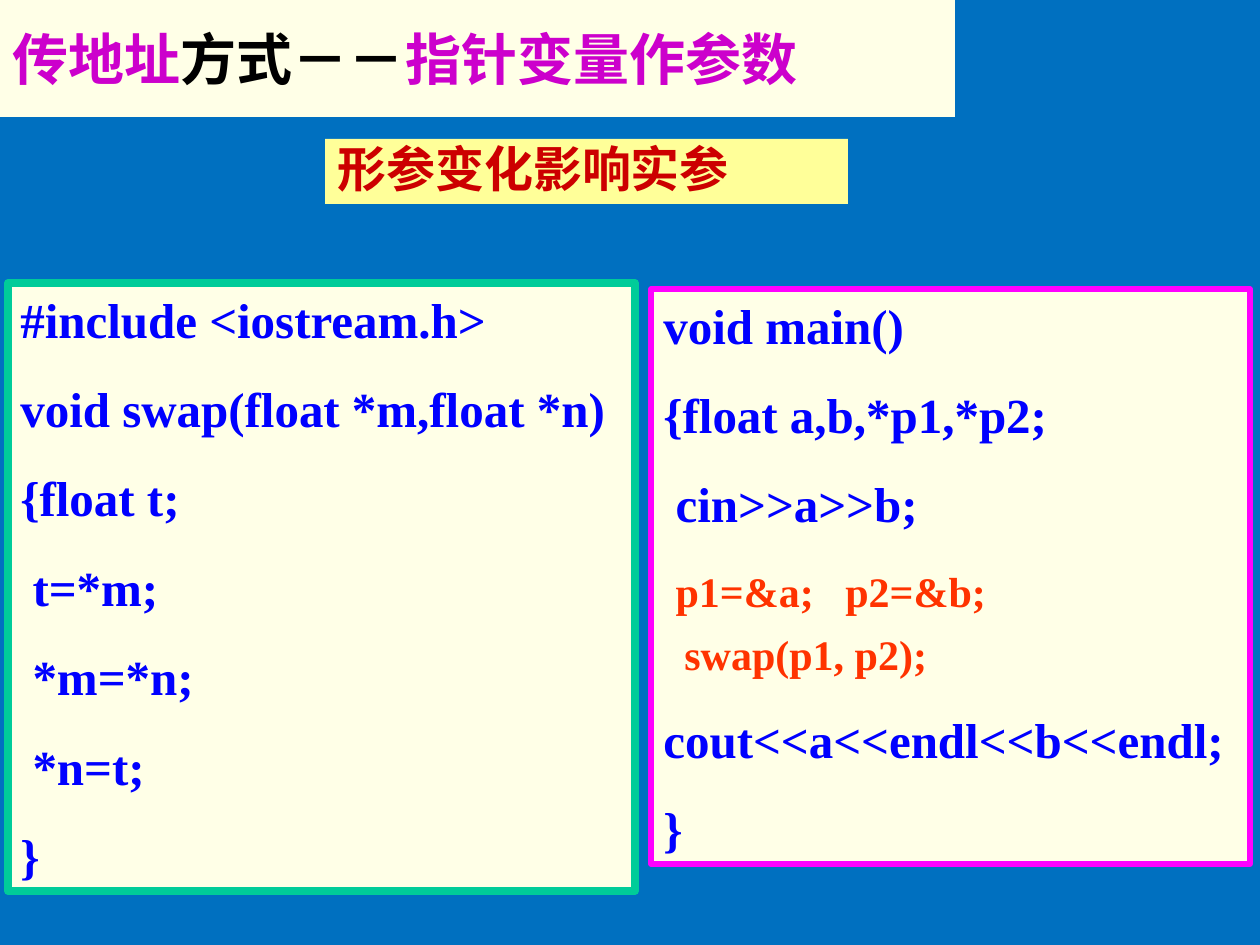
"""Build the slide on passing addresses: pointer variables as parameters."""
from lxml.etree import SubElement
from pptx import Presentation
from pptx.dml.color import RGBColor as RGB
from pptx.enum.shapes import MSO_SHAPE as SHAPE
from pptx.enum.text import MSO_ANCHOR as ANCHOR, MSO_AUTO_SIZE as FIT, PP_ALIGN as ALIGN
from pptx.oxml.ns import qn
from pptx.util import Emu, Pt

PX = 914400 / 126
CJK, SERIF = "Noto Sans CJK SC", "Times New Roman"
C = {
    "back": "0070C0", "cream": "FFFFE7", "yellow": "FFFF99",
    "purple": "CC00CC", "black": "000000", "red": "CC0000",
    "code": "0000FF", "call": "FF3300", "green": "00CC99", "pink": "FF00FF",
}


def add_run(p, text, size=28, color="code", font=SERIF):
    r = p.add_run()
    r.text = text
    r.font.size, r.font.bold, r.font.name = Pt(size), True, font
    r.font.color.rgb = RGB.from_string(C[color])
    SubElement(r.font._element, qn("a:ea")).set("typeface", font)


def set_box(sp, box, fill, line=None, width=0, anchor=ANCHOR.TOP):
    sp.left, sp.top, sp.width, sp.height = [Emu(round(v * PX)) for v in box]
    sp.fill.solid()
    sp.fill.fore_color.rgb = RGB.from_string(C[fill])
    if line:
        sp.line.color.rgb = RGB.from_string(C[line])
        sp.line.width = Pt(width)
    else:
        sp.line.fill.background()
    tf = sp.text_frame
    tf.word_wrap, tf.auto_size, tf.vertical_anchor = True, FIT.NONE, anchor
    tf.paragraphs[0].alignment = ALIGN.LEFT
    return tf


prs = Presentation()
prs.slide_width, prs.slide_height = Emu(round(1260 * PX)), Emu(round(945 * PX))
s = prs.slides.add_slide(prs.slide_layouts[5])
s.background.fill.solid()
s.background.fill.fore_color.rgb = RGB.from_string(C["back"])

tf = set_box(s.shapes.title, (0, 0, 955, 117), "cream", anchor=ANCHOR.MIDDLE)
for text, color in [("传地址", "purple"), ("方式－－", "black"), ("指针变量作参数", "purple")]:
    add_run(tf.paragraphs[0], text, size=32, color=color, font=CJK)

main_lines = [
    ("void main()", 28, 0),
    ("{float a,b,*p1,*p2;", 28, 17.5),
    (" cin>>a>>b;", 28, 17.5),
    (" p1=&a;   p2=&b;", 24, 15),
    ("  swap(p1, p2);", 24, 6),
    ("cout<<a<<endl<<b<<endl;", 28, 17.5),
    ("}", 28, 17.5),
]
swap_lines = [
    (text, 28, 17.5 if i else 0)
    for i, text in enumerate([
        "#include <iostream.h>", "void swap(float *m,float *n)", "{float t;",
        " t=*m;", " *m=*n;", " *n=t;", "}",
    ])
]

for box, line, width, lines in [
    ((651, 289, 599, 575), "pink", 3, main_lines),
    ((8, 283, 627, 608), "green", 4.5, swap_lines),
]:
    sp = s.shapes.add_shape(SHAPE.RECTANGLE, 0, 0, 0, 0)
    sp.shadow.inherit = False
    tf = set_box(sp, box, "cream", line, width)
    for i, (text, size, before) in enumerate(lines):
        p = tf.paragraphs[0] if i == 0 else tf.add_paragraph()
        p.alignment = ALIGN.LEFT
        p.space_before = Pt(before)
        code = text.lstrip(" ")
        indent = text[:len(text) - len(code)]
        tall = 28 if code.startswith("p1") else size
        p.line_spacing = Pt(tall * 1.2)
        if indent:
            add_run(p, indent, size=tall)
        add_run(p, code, size=size, color="code" if size == 28 else "call")

sp = s.shapes.add_shape(SHAPE.RECTANGLE, 0, 0, 0, 0)
sp.shadow.inherit = False
tf = set_box(sp, (325, 139, 523, 65), "yellow")
tf.paragraphs[0].line_spacing = 0.9
add_run(tf.paragraphs[0], "形参变化影响实参", color="red", font=CJK)

prs.save("out.pptx")
